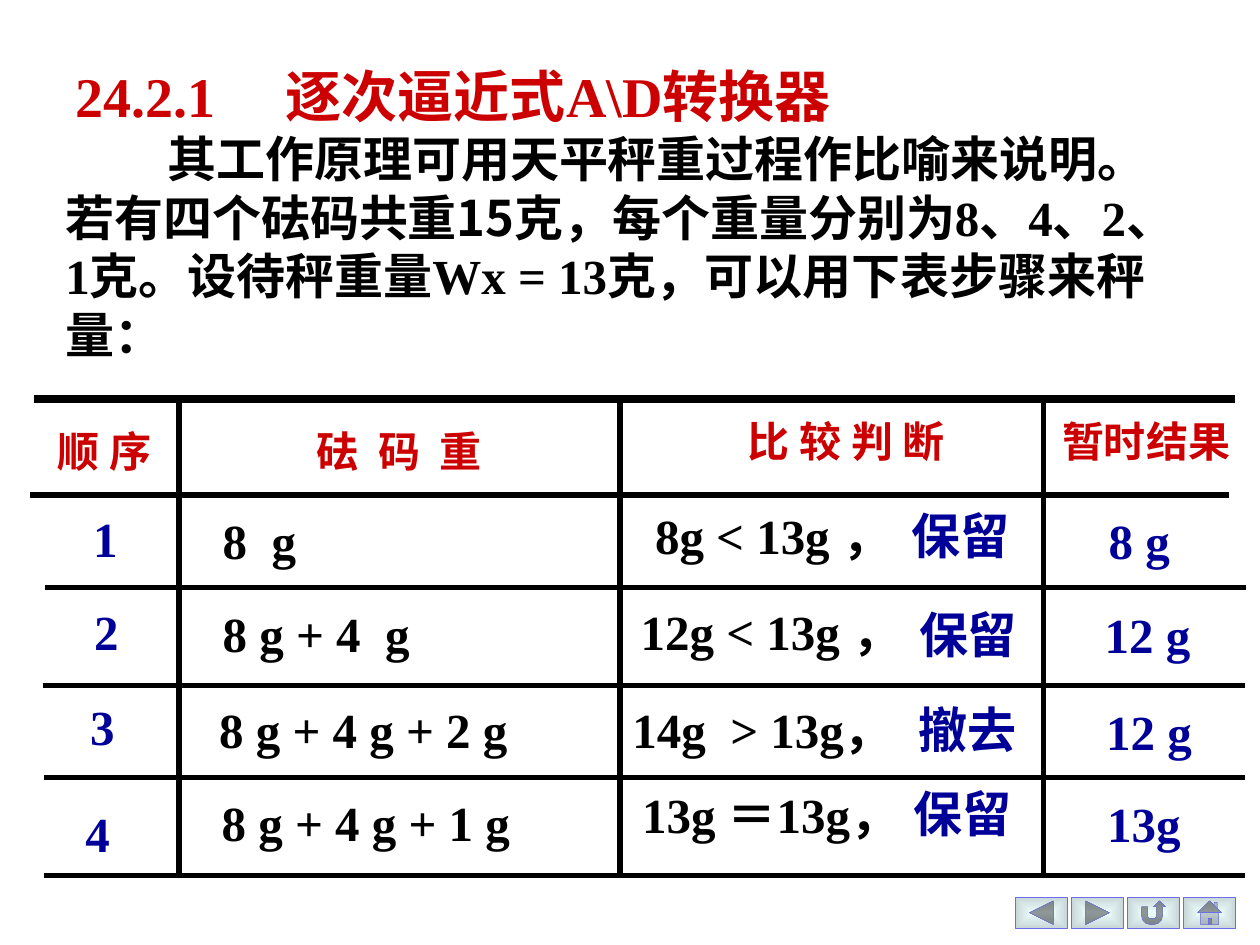
"""Build the slide on successive-approximation A/D conversion."""
from lxml.etree import SubElement
from pptx import Presentation
from pptx.dml.color import RGBColor
from pptx.enum.shapes import MSO_CONNECTOR, MSO_SHAPE
from pptx.enum.text import MSO_ANCHOR, PP_ALIGN
from pptx.oxml.ns import qn
from pptx.util import Cm, Pt

RED = RGBColor(0xCC, 0x00, 0x00)
BLUE = RGBColor(0x00, 0x00, 0x99)
BLACK = RGBColor(0x00, 0x00, 0x00)
PALE = RGBColor(0xEC, 0xFD, 0xFE)
GREY = RGBColor(0xC7, 0xD5, 0xD6)
VIOLET = RGBColor(0x6B, 0x6E, 0xEB)
LATIN, CJK = "Times New Roman", "Noto Sans CJK SC"
LEFT, CENTER, RIGHT = PP_ALIGN.LEFT, PP_ALIGN.CENTER, PP_ALIGN.RIGHT

TITLE = "24.2.1\t逐次逼近式A\\D转换器"
INTRO = [
    ("其工作原理可用天平秤重过程作比喻来说明。若有四个砝码共重15克，每个重量分别为", CJK),
    ("8、4、2、1", LATIN),
    ("克。设待秤重量", CJK),
    ("Wx = 13", LATIN),
    ("克，可以用下表步骤来秤量：", CJK),
]
HEADERS = [
    ("顺 序", 0.91, 8.46, 3.38, LEFT, LATIN),
    ("砝  码  重", 5.72, 8.46, 4.65, CENTER, LATIN),
    ("比 较 判 断", 13.34, 8.26, 7.44, CENTER, CJK),
    ("暂时结果", 21.16, 8.26, 4.32, LEFT, LATIN),
]
COLUMNS = [
    (BLUE, LATIN, [("1", 1.63, 10.13, 2.4, LEFT), ("2", 1.65, 12.01, 2.4, LEFT),
                   ("3", 1.57, 13.92, 2.3, LEFT), ("4", 1.47, 16.08, 2, LEFT)]),
    (BLACK, LATIN, [("8  g", 4.24, 10.16, 4.45, LEFT), ("8 g + 4  g", 4.24, 12.04, 5.5, LEFT),
                    ("8 g + 4 g + 2 g", 4.17, 13.97, 7.5, LEFT),
                    ("8 g + 4 g + 1 g", 4.22, 15.85, 9.96, LEFT)]),
    (BLACK, LATIN, [("8g < 13g ，", 11.86, 10.06, 6.35, RIGHT),
                    ("12g < 13g ，", 10.97, 12.01, 9.14, CENTER),
                    ("14g  > 13g，", 12.5, 13.97, 8.94, LEFT),
                    ("13g ＝13g，", 10.95, 15.7, 9.17, CENTER)]),
    (BLUE, CJK, [("保留", 11.43, 10.06, 9.17, RIGHT), ("保留", 11.61, 12.07, 9.14, RIGHT),
                 ("撤去", 15.04, 13.97, 8.94, CENTER), ("保留", 14.81, 15.67, 9.17, CENTER)]),
    (BLUE, LATIN, [("8 g", 22.1, 10.16, 2.92, LEFT), ("12 g", 22.02, 12.07, 3.12, LEFT),
                   ("12 g", 22.05, 14.02, 3.12, LEFT), ("13g", 22.07, 15.88, 3.12, LEFT)]),
]
RULES = [
    (0.69, 8.05, 24.89, 8.05, 4.5), (0.61, 9.98, 24.77, 9.98, 3),
    (0.91, 11.84, 25.12, 11.84, 3), (0.86, 13.82, 25.1, 13.82, 3),
    (0.89, 15.67, 25.1, 15.67, 3), (0.89, 17.65, 25.1, 17.65, 3),
    (3.61, 8.05, 3.61, 17.65, 3), (12.5, 8.05, 12.5, 17.6, 3),
    (21.03, 8.05, 21.03, 17.65, 3),
]
BUTTONS = [
    MSO_SHAPE.ACTION_BUTTON_BACK_OR_PREVIOUS, MSO_SHAPE.ACTION_BUTTON_FORWARD_OR_NEXT,
    MSO_SHAPE.ACTION_BUTTON_RETURN, MSO_SHAPE.ACTION_BUTTON_HOME,
]


def add_text(s, runs, x, y, w, h, size, color, align=LEFT, tab=None):
    sp = s.shapes.add_textbox(Cm(x), Cm(y), Cm(w), Cm(h))
    tf = sp.text_frame
    tf.word_wrap = True
    p = tf.paragraphs[0]
    p.alignment = align
    if tab:
        tabs = SubElement(p._p.get_or_add_pPr(), qn("a:tabLst"))
        SubElement(tabs, qn("a:tab"), pos=str(Cm(tab)), algn="l")
    p.font.size, p.font.bold, p.font.color.rgb = Pt(size), True, color
    for text, font in runs:
        r = p.add_run()
        r.text = text
        r.font.name = font
        SubElement(r._r.get_or_add_rPr(), qn("a:ea"), typeface=CJK)
    return tf


def add_rule(s, x1, y1, x2, y2, width):
    line = s.shapes.add_connector(MSO_CONNECTOR.STRAIGHT, Cm(x1), Cm(y1), Cm(x2), Cm(y2))
    line.line.color.rgb = BLACK
    line.line.width = Pt(width)
    SubElement(line._element.spPr, qn("a:effectLst"))


def add_button(s, kind, x):
    sp = s.shapes.add_shape(kind, Cm(x), Cm(18.08), Cm(1.05), Cm(0.64))
    sp.shadow.inherit = False
    sp.fill.gradient()
    for stop, color in zip(sp.fill.gradient_stops, (PALE, GREY)):
        stop.color.rgb = color
    grad = sp._element.spPr.find(qn("a:gradFill"))
    grad.remove(grad.find(qn("a:lin")))
    shade = SubElement(grad, qn("a:path"), path="rect")
    SubElement(shade, qn("a:fillToRect"), l="50000", t="50000", r="50000", b="50000")
    sp.line.color.rgb = VIOLET
    sp.line.width = Pt(0.25)


def main():
    prs = Presentation()
    prs.slide_width, prs.slide_height = Cm(25.4), Cm(19.05)
    s = prs.slides.add_slide(prs.slide_layouts[6])
    for i, kind in enumerate(BUTTONS):
        add_button(s, kind, 20.47 + 1.13 * i)
    tf = add_text(s, [(TITLE, LATIN)], 1.27, 1.07, 17.35, 1.7, 32, RED, tab=4.24)
    tf.vertical_anchor = MSO_ANCHOR.MIDDLE
    tf = add_text(s, INTRO, 1.07, 2.46, 23.06, 5.18, 28, BLACK)
    tf.paragraphs[0]._p.get_or_add_pPr().set("indent", str(Cm(2.06)))
    for rule in RULES:
        add_rule(s, *rule)
    for text, x, y, w, align, font in HEADERS:
        add_text(s, [(text, font)], x, y, w, 1.27, 24, RED, align)
    for color, font, cells in COLUMNS:
        for text, x, y, w, align in cells:
            add_text(s, [(text, font)], x, y, w, 1.45, 28, color, align)


    prs.save("out.pptx")


if __name__ == "__main__":
    main()
